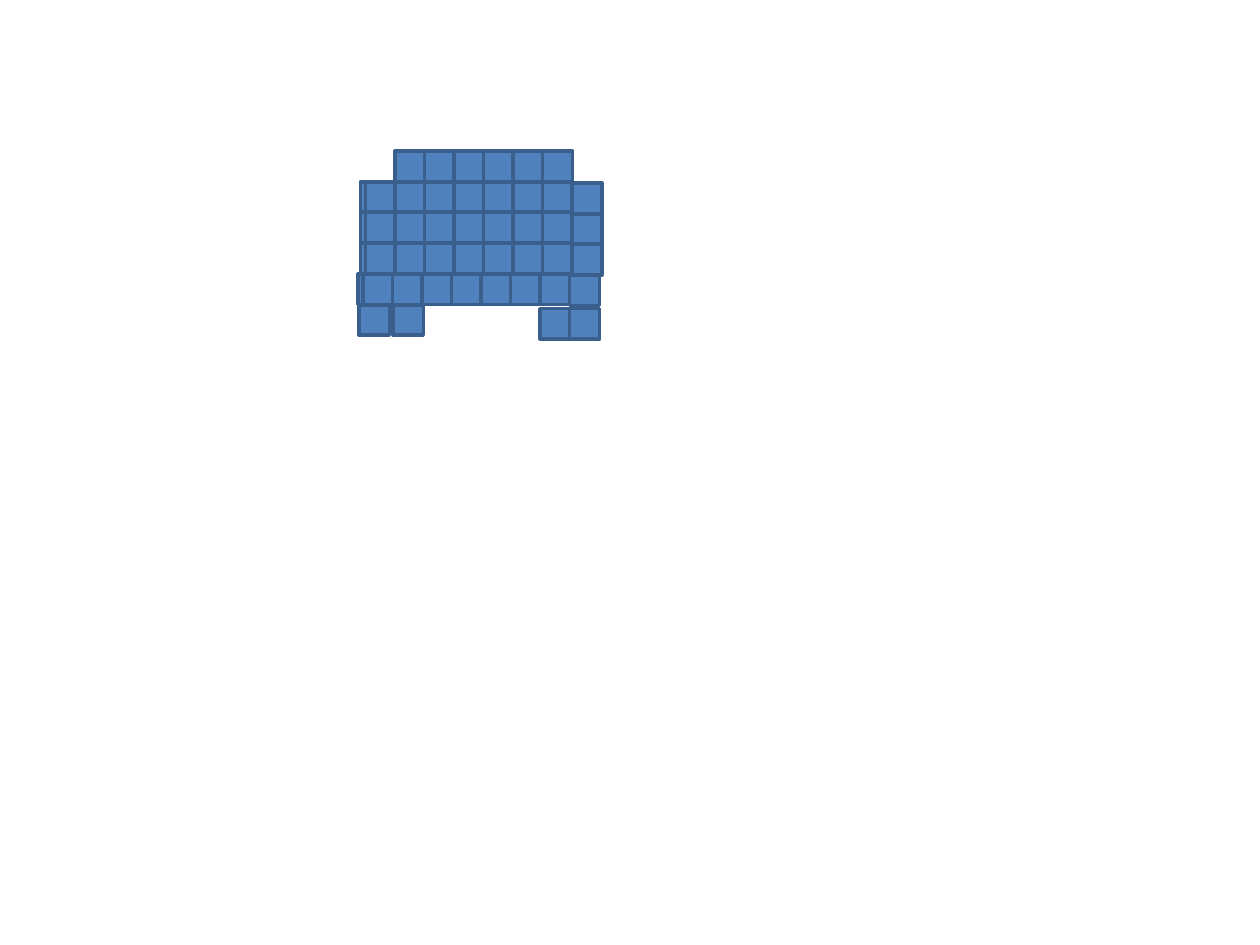
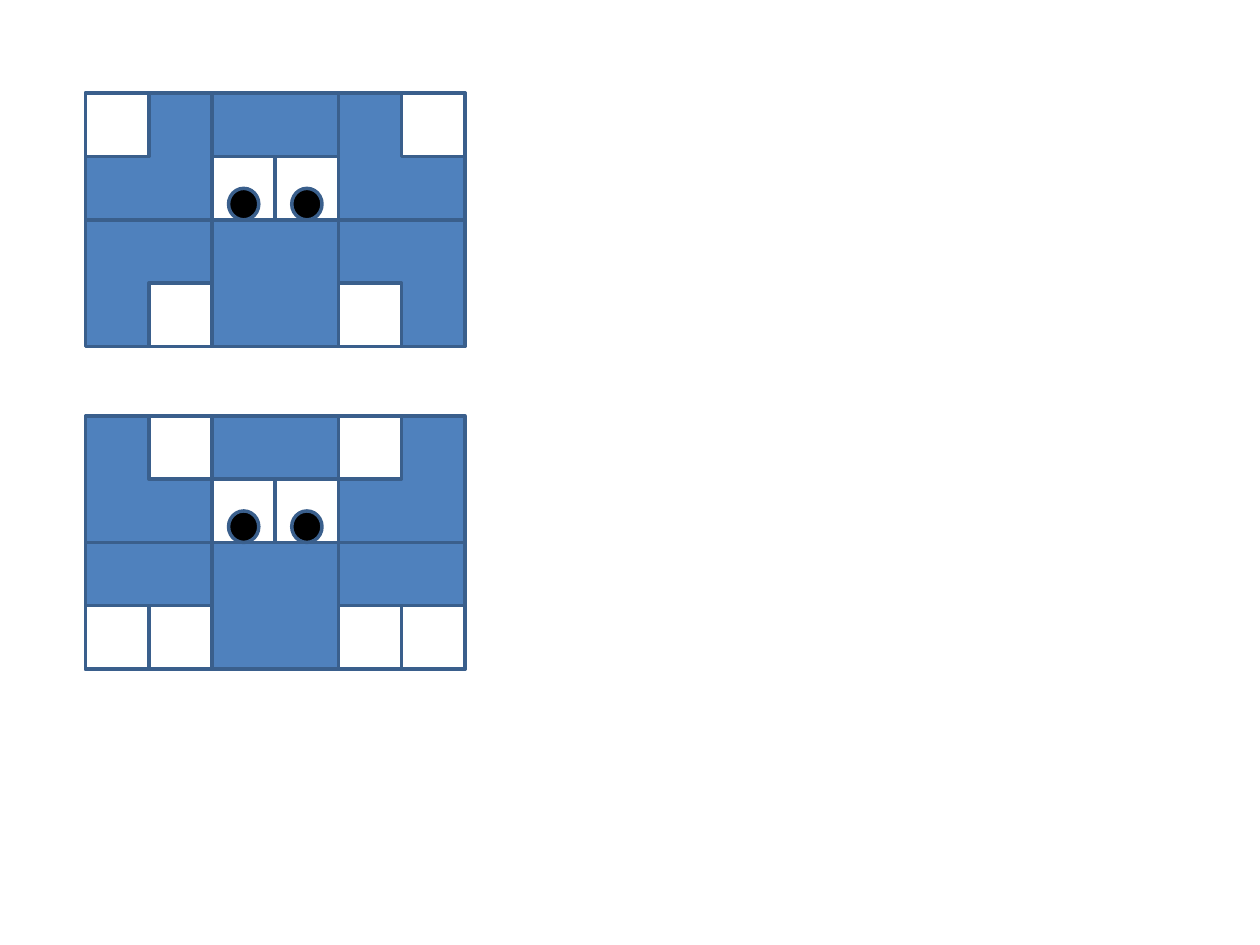
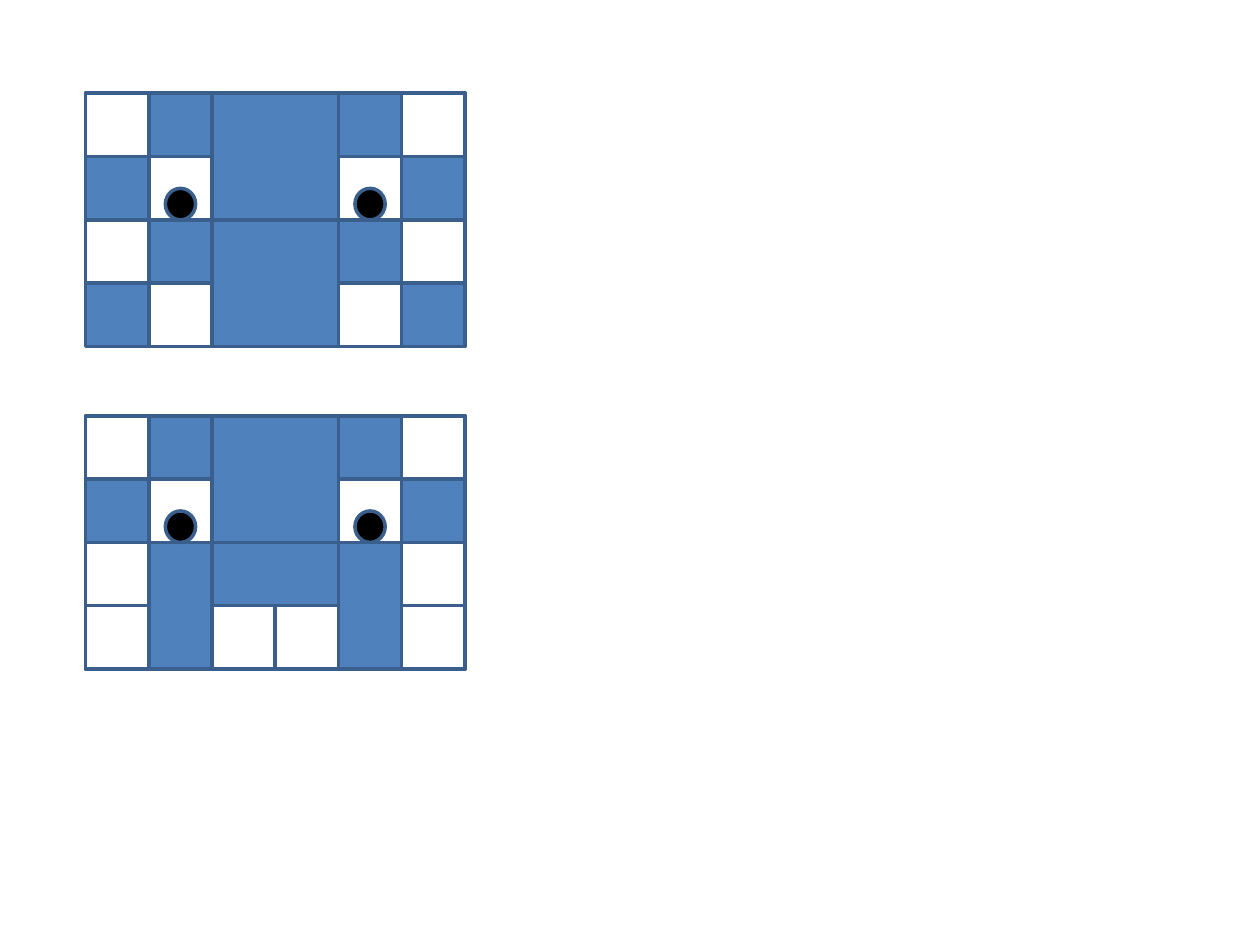
import pptx
import pptx.util
import pptx.dml.color
import pptx.enum.shapes

Inches = pptx.util.Inches
KIND = pptx.enum.shapes.MSO_SHAPE
BLUE, EDGE, WHITE, BLACK = "4F81BD", "3A5F8C", "FFFFFF", "000000"
SOLID, HOLE, EYE = "#oe"

# Each face is a map of 6 by 4 cells, laid over 3 by 2 blue blocks.
FACES = [
    [("o####o", "##ee##", "######", "#o##o#"),
     ("#o##o#", "##ee##", "######", "oo##oo")],
    [("o####o", "#e##e#", "o####o", "#o##o#"),
     ("o####o", "#e##e#", "o####o", "o#oo#o")],
]


def color(text):
    """Turn a hex string into a colour."""
    return pptx.dml.color.RGBColor.from_string(text)


def draw(slide, box, fill, kind=KIND.RECTANGLE):
    """Add one outlined shape in a box given in inches."""
    shape = slide.shapes.add_shape(kind, *(Inches(n) for n in box))
    shape.shadow.inherit = False
    shape.fill.solid()
    shape.fill.fore_color.rgb = color(fill)
    shape.line.color.rgb = color(EDGE)
    shape.line.width = pptx.util.Pt(2)


def pupil(slide, box):
    """Rest a black dot on the middle of the lower edge of a cell."""
    left, top, wide, high = box
    dot = (left + (wide - 0.24) / 2, top + high - 0.25, 0.24, 0.25)
    draw(slide, dot, BLACK, KIND.OVAL)


def face(slide, box, rows):
    """Draw the blue blocks, then the holes and eyes of a cell map."""
    left, top, wide, high = box
    step_x, step_y = wide / len(rows[0]), high / len(rows)

    def place(col, row, span=1):
        """Give the box of a square that spans some cells."""
        return (left + col * step_x, top + row * step_y,
                span * step_x, span * step_y)

    for row in range(0, len(rows), 2):
        for col in range(0, len(rows[0]), 2):
            draw(slide, place(col, row, 2), BLUE)
    for row, line in enumerate(rows):
        for col, mark in enumerate(line):
            if mark != SOLID:
                draw(slide, place(col, row), WHITE)
            if mark == EYE:
                pupil(slide, place(col, row))


def bricks(slide, box):
    """Stack rows of small tiles on two pairs of feet."""
    left, top, wide, high = box
    size = 0.24
    step = (wide - size - 0.04) / 7
    drop = (high - size - 0.03) / 5

    def tile(across, down):
        """Draw one tile at an offset from the corner of the box."""
        draw(slide, (left + across, top + down, size, size), BLUE)

    for foot in (-0.01, 0.26):
        tile(foot, 5 * drop)
    for col in (6, 7):
        tile(0.02 + col * step, 5 * drop + 0.03)
    for row in range(4, 0, -1):
        shift = -0.02 if row == 4 else 0
        tile(shift, row * drop)
        for col in range(8):
            lower = 0.01 if col == 7 else 0
            tile(shift + 0.04 + col * step, row * drop + lower)
    for col in range(1, 7):
        tile(0.04 + col * step, 0)


def blank(deck):
    """Add an empty slide."""
    return deck.slides.add_slide(deck.slide_layouts[6])


def main():
    """Build and save the deck."""
    deck = pptx.Presentation()
    deck.slide_width, deck.slide_height = Inches(10), Inches(7.5)
    bricks(blank(deck), (2.86, 1.2, 1.92, 1.49))
    for pair in FACES:
        slide = blank(deck)
        for top, rows in zip((0.74, 3.3), pair):
            face(slide, (0.68, top, 3.01, 2.01), rows)
    deck.save("out.pptx")


main()
